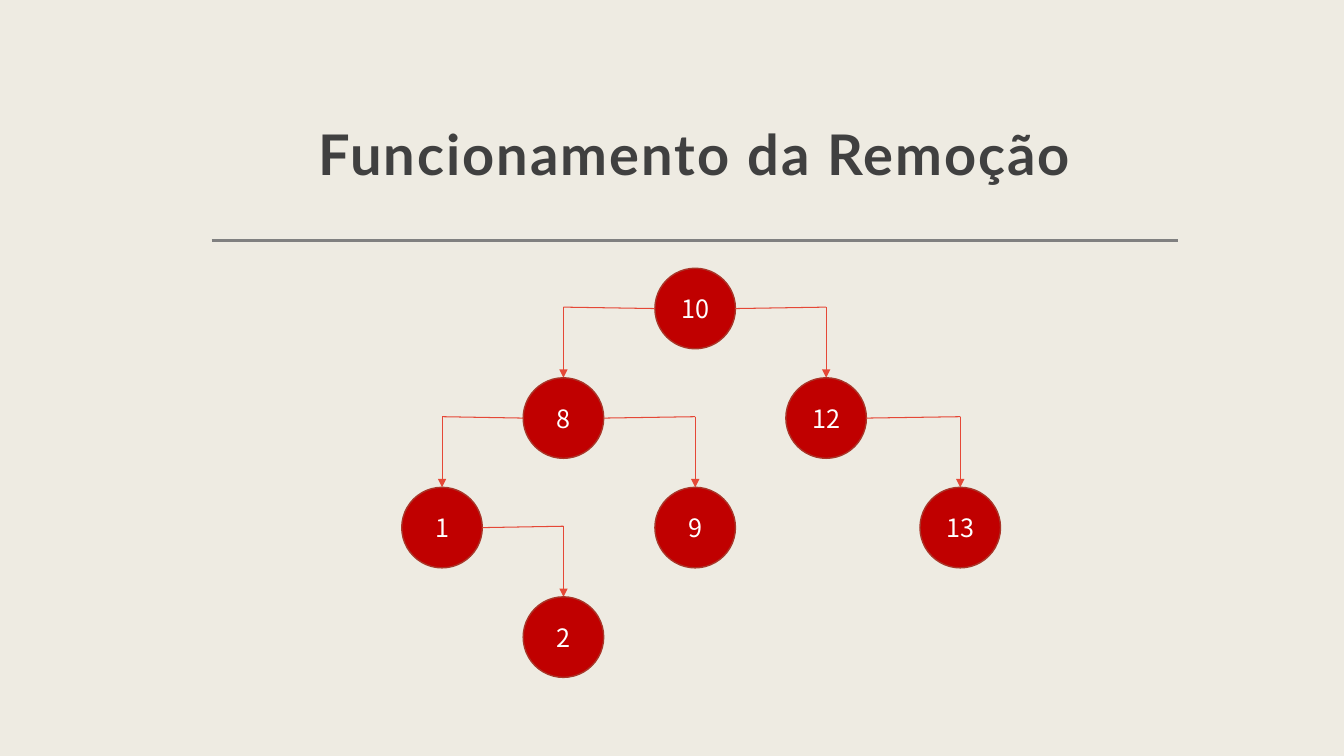
from lxml import etree
from pptx import Presentation, util as u
from pptx.dml.color import RGBColor
from pptx.enum import shapes, text
from pptx.oxml.ns import qn

# Content: key -> (centre x in cm, tree level, parent key)
TITLE = "Funcionamento da Remoção"
NODES = {
    "10": (17.52, 0, None),
    "8": (14.2, 1, "10"),
    "12": (20.82, 1, "10"),
    "1": (11.14, 2, "8"),
    "9": (17.52, 2, "8"),
    "13": (24.2, 2, "12"),
    "2": (14.2, 3, "1"),
}

# Layout in cm
DIAMETER = 2.03
FIRST_TOP = 6.76
LEVEL_STEP = 2.76
ARROW_LENGTH = 1.78
RULE_LEFT, RULE_WIDTH, RULE_TOP = 5.33, 24.36, 6.05


def color(value):
    return RGBColor.from_string(value)


def write(shape, content, *, size, font, fill, bold=False, line_spacing=1.0,
          spacing=0, anchor=text.MSO_ANCHOR.MIDDLE):
    frame = shape.text_frame
    frame.word_wrap = True
    frame.auto_size = text.MSO_AUTO_SIZE.NONE
    frame.vertical_anchor = anchor
    paragraph = frame.paragraphs[0]
    paragraph.alignment = text.PP_ALIGN.CENTER
    paragraph.line_spacing = line_spacing
    run = paragraph.add_run()
    run.text = content
    run.font.size = u.Pt(size)
    run.font.name = font
    run.font.bold = bold
    run.font.color.rgb = color(fill)
    properties = run._r.get_or_add_rPr()
    if spacing:
        properties.set("spc", str(int(spacing * 100)))
    for tag in ("a:ea", "a:cs"):
        etree.SubElement(properties, qn(tag), typeface=font)


def add_line(slide, start, end, stroke, width, arrow=False):
    points = [u.Cm(value) for value in (*start, *end)]
    connector = slide.shapes.add_connector(shapes.MSO_CONNECTOR.STRAIGHT, *points)
    connector.line.color.rgb = color(stroke)
    connector.line.width = u.Pt(width)
    if arrow:
        etree.SubElement(connector.line._get_or_add_ln(), qn("a:tailEnd"), type="triangle")
    etree.SubElement(connector._element.spPr, qn("a:effectLst"))


def node_top(key):
    return FIRST_TOP + LEVEL_STEP * NODES[key][1]


def add_branch(slide, parent, child):
    parent_x, child_x = NODES[parent][0], NODES[child][0]
    side = 1 if child_x > parent_x else -1
    start = (parent_x + side * DIAMETER / 2, node_top(parent) + DIAMETER / 2)
    corner = (child_x, node_top(child) - ARROW_LENGTH)
    add_line(slide, start, corner, "E54837", 0.75)
    add_line(slide, corner, (child_x, node_top(child)), "E54837", 0.75, arrow=True)


def add_node(slide, key):
    left = NODES[key][0] - DIAMETER / 2
    box = [u.Cm(value) for value in (left, node_top(key), DIAMETER, DIAMETER)]
    node = slide.shapes.add_shape(shapes.MSO_SHAPE.OVAL, *box)
    node.shadow.inherit = False
    node.fill.solid()
    node.fill.fore_color.rgb = color("C00000")
    node.line.color.rgb = color("A93529")
    node.line.width = u.Pt(1)
    write(node, key, size=18, font="Noto Sans CJK JP", fill="FFFFFF")


def main():
    presentation = Presentation()
    presentation.slide_width, presentation.slide_height = u.Cm(33.87), u.Cm(19.05)
    slide = presentation.slides.add_slide(presentation.slide_layouts[5])
    slide.background.fill.solid()
    slide.background.fill.fore_color.rgb = color("EEEBE2")

    # Title and rule
    title = slide.shapes.title
    title.left, title.top = u.Cm(RULE_LEFT), u.Cm(1.22)
    title.width, title.height = u.Cm(RULE_WIDTH), u.Cm(3.73)
    frame = title.text_frame
    frame.margin_left = frame.margin_right = frame.margin_top = u.Cm(0.3)
    frame.margin_bottom = u.Cm(0.25)
    write(title, TITLE, size=40, font="Lato", fill="404040", bold=True,
          line_spacing=1.3, spacing=1.5, anchor=text.MSO_ANCHOR.BOTTOM)
    add_line(slide, (RULE_LEFT, RULE_TOP), (RULE_LEFT + RULE_WIDTH, RULE_TOP), "808080", 2)

    # Tree
    for key, (_, _, parent) in NODES.items():
        if parent:
            add_branch(slide, parent, key)
        add_node(slide, key)

    presentation.save("out.pptx")


if __name__ == "__main__":
    main()
